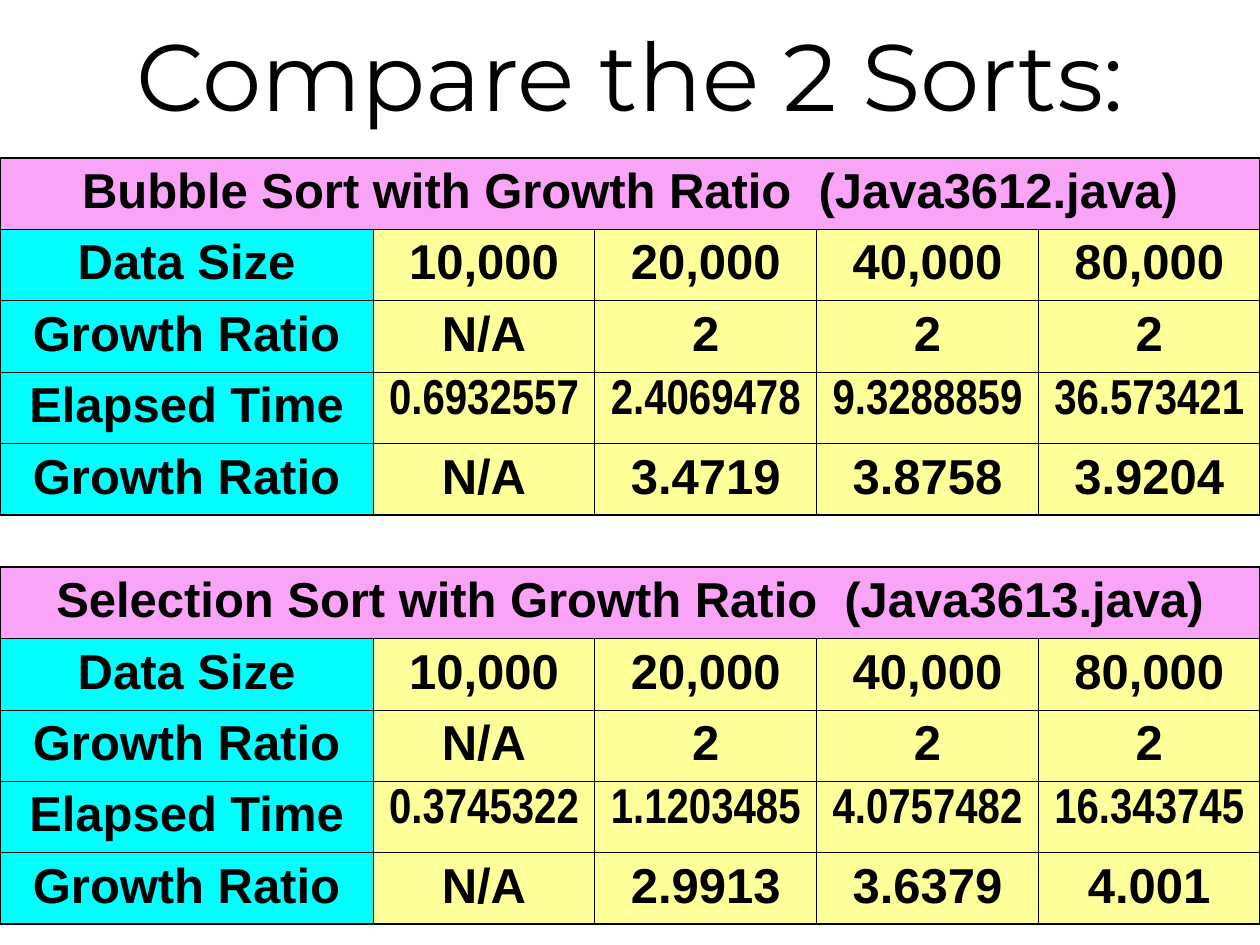
from dataclasses import dataclass

from lxml import etree
from pptx import Presentation, util as u
from pptx.dml.color import RGBColor
from pptx.enum import text as t
from pptx.oxml.ns import qn

BLACK = RGBColor(0x00, 0x00, 0x00)
PINK = RGBColor(0xFA, 0xA4, 0xF8)
CYAN = RGBColor(0x00, 0xFF, 0xFF)
YELLOW = RGBColor(0xFF, 0xFF, 0x99)

SLIDE_WIDTH, SLIDE_HEIGHT = u.Cm(25.4), u.Cm(19.05)
COLUMN_WIDTHS = [u.Cm(7.52)] + [u.Cm(4.47)] * 4
ROW_HEIGHT = u.Cm(1.44)
THICK, THIN = u.Pt(1.08), u.Pt(0.45)
DATA_SIZES = ("10,000", "20,000", "40,000", "80,000")
SIZE_RATIOS = ("N/A", "2", "2", "2")


@dataclass
class SortTable:
    top: u.Length
    heading: str
    times: tuple[str, ...]
    time_ratios: tuple[str, ...]

    def rows(self) -> list[tuple[str, ...]]:
        return [
            (self.heading, "", "", "", ""),
            ("Data Size", *DATA_SIZES),
            ("Growth Ratio", *SIZE_RATIOS),
            ("Elapsed Time", *self.times),
            ("Growth Ratio", *self.time_ratios),
        ]


SORT_TABLES = [
    SortTable(
        u.Cm(3.18),
        "Bubble Sort with Growth Ratio  (Java3612.java)",
        ("0.6932557", "2.4069478", "9.3288859", "36.573421"),
        ("N/A", "3.4719", "3.8758", "3.9204"),
    ),
    SortTable(
        u.Cm(11.43),
        "Selection Sort with Growth Ratio  (Java3613.java)",
        ("0.3745322", "1.1203485", "4.0757482", "16.343745"),
        ("N/A", "2.9913", "3.6379", "4.001"),
    ),
]


def write_text(frame, content: str, *, size: float, font: str, bold: bool = False) -> None:
    para = frame.paragraphs[0]
    para.alignment = t.PP_ALIGN.CENTER
    span = para.add_run()
    span.text = content
    span.font.size = u.Pt(size)
    span.font.name = font
    span.font.bold = bold
    span.font.color.rgb = BLACK


def set_borders(cell, widths: dict[str, int]) -> None:
    """Add solid borders, which must come before the fill in the cell properties."""
    properties = cell._tc.get_or_add_tcPr()
    for index, (side, width) in enumerate(widths.items()):
        line = etree.Element(qn(f"a:ln{side}"), w=str(int(width)))
        fill = etree.SubElement(line, qn("a:solidFill"))
        etree.SubElement(fill, qn("a:srgbClr"), val=str(BLACK))
        properties.insert(index, line)


def draw_sort_table(slide, sort: SortTable) -> None:
    rows = sort.rows()
    last_row, last_column = len(rows) - 1, len(COLUMN_WIDTHS) - 1
    table = slide.shapes.add_table(
        len(rows), len(COLUMN_WIDTHS), 0, sort.top, SLIDE_WIDTH, ROW_HEIGHT * len(rows)
    ).table
    table.first_row = table.horz_banding = False
    for column, width in zip(table.columns, COLUMN_WIDTHS):
        column.width = width
    for row in table.rows:
        row.height = ROW_HEIGHT
    table.cell(0, 0).merge(table.cell(0, last_column))

    for r, values in enumerate(rows):
        for c, value in enumerate(values):
            cell = table.cell(r, c)
            cell.fill.solid()
            cell.fill.fore_color.rgb = PINK if r == 0 else CYAN if c == 0 else YELLOW
            set_borders(cell, {
                "L": THICK if c == 0 else THIN,
                "R": THICK if c == last_column or cell.is_merge_origin else THIN,
                "T": THICK if r == 0 else THIN,
                "B": THICK if r == last_row else THIN,
            })
            if value:
                font = "Arial Narrow" if value in sort.times else "Arial"
                write_text(cell.text_frame, value, size=28, font=font, bold=True)


def main() -> None:
    deck = Presentation()
    deck.slide_width, deck.slide_height = SLIDE_WIDTH, SLIDE_HEIGHT
    slide = deck.slides.add_slide(deck.slide_layouts[5])

    title = slide.shapes.title
    title.left, title.top, title.width, title.height = 0, 0, SLIDE_WIDTH, u.Cm(2.97)
    title.text_frame.vertical_anchor = t.MSO_ANCHOR.MIDDLE
    title.text_frame.auto_size = t.MSO_AUTO_SIZE.NONE
    write_text(title.text_frame, "Compare the 2 Sorts:", size=54, font="Montserrat")

    for sort in SORT_TABLES:
        draw_sort_table(slide, sort)
    deck.save("out.pptx")


if __name__ == "__main__":
    main()
